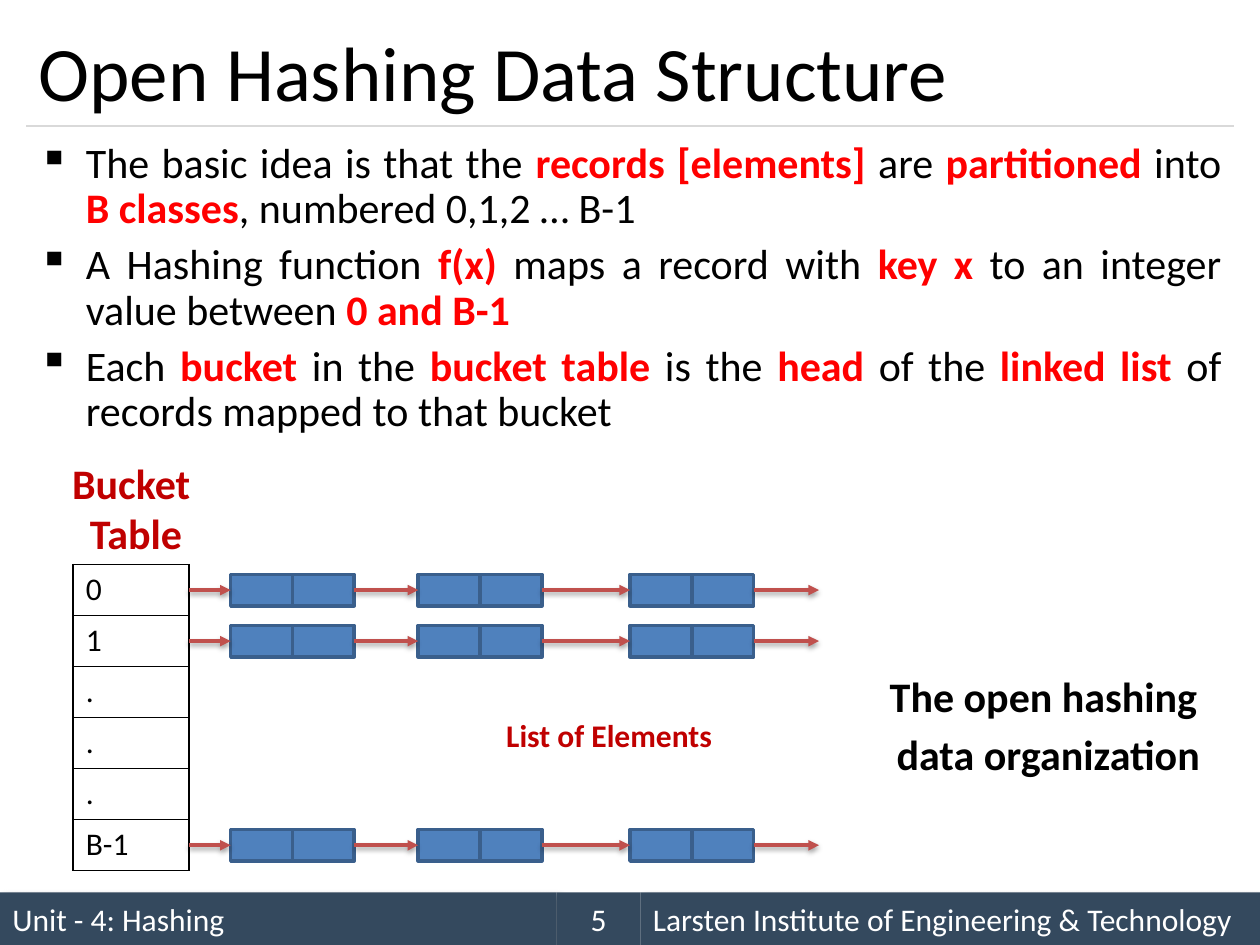
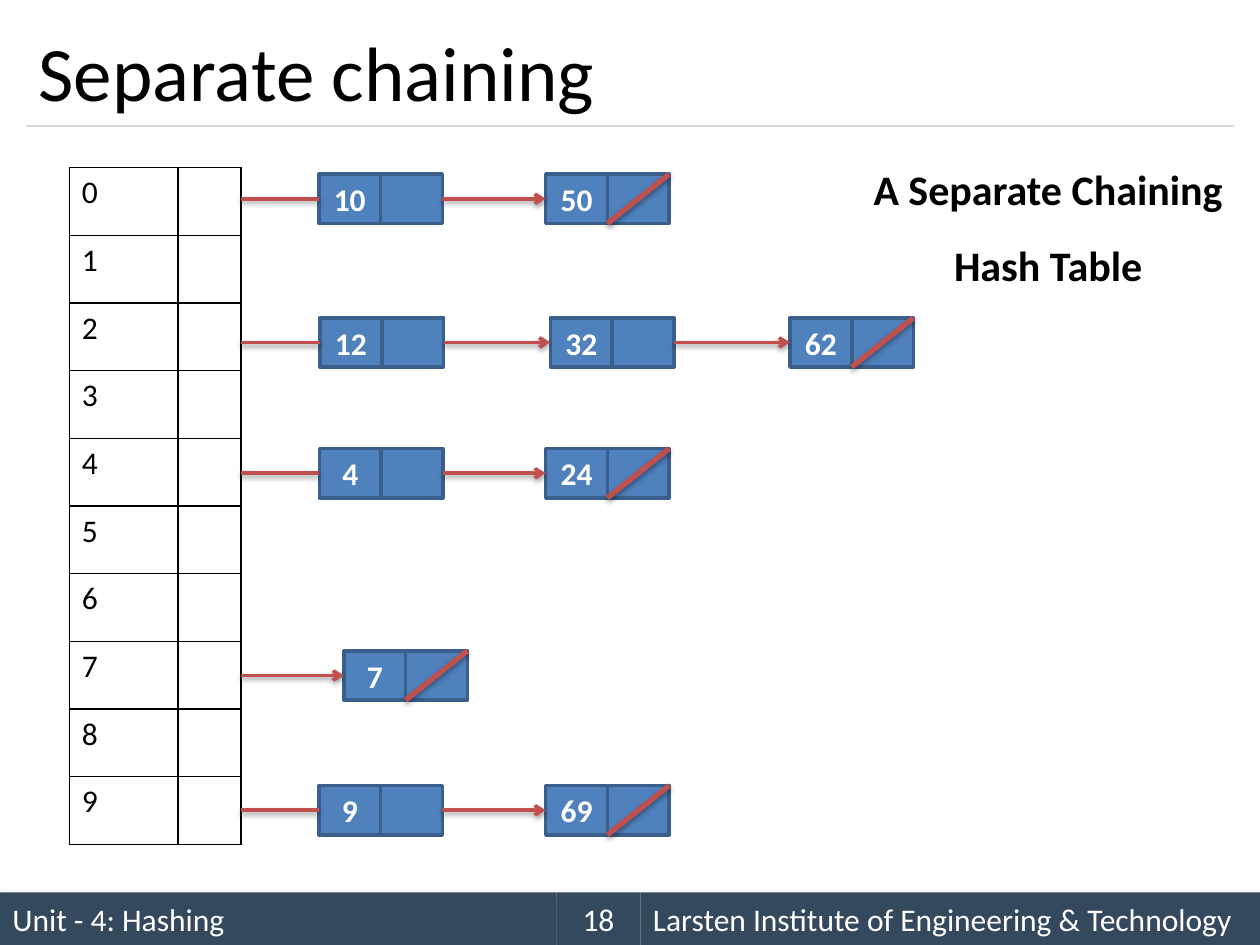
"""Build two slides on open hashing and separate chaining."""
from collections import namedtuple

from lxml.etree import SubElement as Sub
from pptx import Presentation
from pptx.dml.color import RGBColor
from pptx.enum.shapes import MSO_CONNECTOR as Wire, MSO_SHAPE as Form
from pptx.enum.text import MSO_ANCHOR as Anchor, PP_ALIGN as Align
from pptx.oxml.ns import qn
from pptx.util import Pt

BLACK = RGBColor(0, 0, 0)
WHITE = RGBColor(255, 255, 255)
RED = RGBColor(255, 0, 0)
WINE = RGBColor(0xC0, 0, 0)
BRICK = RGBColor(0xC0, 0x50, 0x4D)
BLUE = RGBColor(0x4F, 0x81, 0xBD)
EDGE = RGBColor(0x3A, 0x5F, 0x8C)
SLATE = RGBColor(0x34, 0x49, 0x5E)
GREY = RGBColor(0xD9, 0xD9, 0xD9)
FACE = "Calibri"
HALF = 35.3

Box = namedtuple("Box", "x y w h")
PAGE = Box(0, 0, 720, 540)

POINTS = [
    [("The basic idea is that the ", 0), ("records [elements] ", 1), ("are ", 0),
     ("partitioned ", 1), ("into ", 0), ("B classes", 1),
     (", numbered 0,1,2 … B-1", 0)],
    [("A Hashing function ", 0), ("f(x)", 1), (" maps a record with ", 0),
     ("key x", 1), (" to an integer value between", 0), (" 0 and B-1", 1)],
    [("Each ", 0), ("bucket ", 1), ("in the ", 0), ("bucket table", 1),
     (" is the ", 0), ("head", 1), (" of the ", 0), ("linked list ", 1),
     ("of records mapped to that bucket", 0)],
]
CHAINS = [
    (113.6, [(182.2, "10"), (311.8, "50")]),
    (195.7, [(182.9, "12"), (314.5, "32"), (451.4, "62")]),
    (270.4, [(182.5, "4"), (311.8, "24")]),
    (386, [(196.5, "7")]),
    (463, [(182.2, "9"), (311.8, "69")]),
]


def place(box):
    """Turn a box into lengths."""
    return [Pt(v) for v in box]


def style(para, size, color=BLACK, bold=False, align=Align.LEFT):
    """Set the font and alignment of a paragraph."""
    font = para.font
    font.name, font.size, font.bold = FACE, Pt(size), bold
    font.color.rgb = color
    para.alignment = align


def shade(shape, alpha, blur, dist, angle):
    """Give a shape or connector a soft black shadow."""
    props = shape._element.spPr
    fx = props.find(qn("a:effectLst"))
    if fx is None:
        fx = Sub(props, qn("a:effectLst"))
    drop = Sub(fx, qn("a:outerShdw"), blurRad=str(Pt(blur)), dist=str(Pt(dist)),
               dir=str(angle * 60000), algn="t", rotWithShape="0")
    tint = Sub(drop, qn("a:srgbClr"), val=str(BLACK))
    Sub(tint, qn("a:alpha"), val=str(alpha * 1000))


def label(slide, box, lines, size, color=BLACK, bold=True, align=Align.CENTER,
          lead=1, after=0):
    """Add an unwrapped text box with one paragraph a line."""
    frame = slide.shapes.add_textbox(*place(box)).text_frame
    frame.word_wrap = False
    frame.text = "\n".join(lines)
    for para in frame.paragraphs:
        style(para, size, color, bold, align)
        para.line_spacing, para.space_after = lead, Pt(after)
    return frame


def block(shapes, box, fill, text="", edge=None, bold=False, align=Align.CENTER):
    """Add a filled rectangle with middle text."""
    rect = shapes.add_shape(Form.RECTANGLE, *place(box))
    rect.shadow.inherit = False
    rect.fill.solid()
    rect.fill.fore_color.rgb = fill
    if edge is None:
        rect.line.fill.background()
    else:
        rect.line.color.rgb, rect.line.width = edge, Pt(2)
    if text:
        rect.text_frame.text = text
        rect.text_frame.vertical_anchor = Anchor.MIDDLE
        style(rect.text_frame.paragraphs[0], 18, WHITE, bold, align)
    return rect


def wire(slide, start, end, color=BRICK, width=2, tip=None):
    """Add a straight line, with an arrowhead if a tip is named."""
    line = slide.shapes.add_connector(
        Wire.STRAIGHT, *(Pt(v) for v in (*start, *end)))
    line.line.color.rgb, line.line.width = color, Pt(width)
    if tip:
        Sub(line.line._get_or_add_ln(), qn("a:tailEnd"), type=tip)
    if color == BRICK:
        shade(line, 38, 3.1, 1.6, 90)
    else:
        Sub(line._element.spPr, qn("a:effectLst"))
    return line


def frame(slide, box, title, number):
    """Add the title, its rule and the footer band."""
    head = label(slide, Box(box.x + 15, box.y + 8.6, box.w - 30, 63.4), [title], 44,
                 bold=False, align=Align.LEFT)
    head.word_wrap = True
    head.vertical_anchor = Anchor.MIDDLE
    rule = box.y + 72
    wire(slide, (box.x + 15, rule), (box.x + box.w - 15, rule), GREY, 0.75)
    bands = [(0, 318, "Unit - 4: Hashing", Align.LEFT),
             (366, 354, "Larsten Institute of Engineering & Technology", Align.LEFT),
             (318, 48, number, Align.CENTER)]
    for x, wide, text, align in bands:
        spot = Box(box.x + x, box.y + box.h - 30, wide, 30)
        band = block(slide.shapes, spot, SLATE, text, align=align)
        if align == Align.LEFT:
            shade(band, 40, 4, 3, 45)


def bullets(slide, box, points):
    """Add justified bullets with key words in bold red."""
    text = slide.shapes.add_textbox(*place(box)).text_frame
    text.word_wrap = True
    for i, parts in enumerate(points):
        para = text.add_paragraph() if i else text.paragraphs[0]
        style(para, 24, align=Align.JUSTIFY)
        para.line_spacing, para.space_before = 0.9, Pt(6)
        props = para._p.get_or_add_pPr()
        props.set("marL", str(Pt(27)))
        props.set("indent", str(Pt(-27)))
        mark = Sub(props, qn("a:buChar"), char="▪")
        props.find(qn("a:defRPr")).addprevious(mark)
        for words, key in parts:
            run = para.add_run()
            run.text = words
            if key:
                run.font.bold, run.font.color.rgb = True, RED


def rule_cell(cell):
    """Draw thin black borders round a clear cell."""
    props = cell._tc.get_or_add_tcPr()
    for side in "LRTB":
        line = Sub(props, qn(f"a:ln{side}"), w=str(Pt(1)))
        Sub(Sub(line, qn("a:solidFill")), qn("a:srgbClr"), val=str(BLACK))
    cell.fill.background()


def buckets(slide, box, names, widths):
    """Add a bucket table with names in its first column."""
    table = slide.shapes.add_table(len(names), len(widths), *place(box)).table
    table.first_row = table.horz_banding = False
    for col, wide in zip(table.columns, widths):
        col.width = Pt(wide)
    for row, name in zip(table.rows, names):
        row.height = Pt(box.h / len(names))
        row.cells[0].text = name
        for cell in row.cells:
            style(cell.text_frame.paragraphs[0], 18)
            rule_cell(cell)


def node(slide, box, text=""):
    """Add a grouped pair of cells and return both."""
    group = slide.shapes.add_group_shape().shapes
    return [block(group, box._replace(x=box.x + i * box.w), BLUE, words, EDGE, True)
            for i, words in enumerate((text, ""))]


def chain(slide, start, high, items, tip, first):
    """Link nodes in a row from a start point and return the last cell."""
    x, mid = start
    last = None
    for left, text in items:
        cell, tail = node(slide, Box(left, mid - high / 2, HALF, high), text)
        link = wire(slide, (x, mid), (left, mid), tip=tip if last else first)
        if last:
            link.begin_connect(last, 3)
        link.end_connect(cell, 1)
        last, x = tail, left + 2 * HALF
    return last


def open_hash(slide, box):
    """Draw the bucket table with its lists of elements."""
    names = ["0", "1", ".", ".", ".", "B-1"]
    grid = Box(box.x + 41.8, box.y + 64.8, 66.2, 175)
    buckets(slide, grid, names, [grid.w])
    label(slide, Box(box.x + 33.8, box.y, 87.8, 65.5), ["Bucket ", "Table"], 24, WINE)
    step = grid.h / len(names)
    for i, name in enumerate(names):
        if name == ".":
            continue
        mid = grid.y + (i + 0.5) * step
        items = [(box.x + x, "") for x in (131.8, 239, 360)]
        last = chain(slide, (grid.x + grid.w, mid), 18, items, "triangle", "triangle")
        out = wire(slide, (box.x + 430.6, mid), (box.x + 468, mid), tip="triangle")
        out.begin_connect(last, 3)
    label(slide, Box(box.x + 282.2, box.y + 147.6, 133.2, 28.8),
          ["List of Elements"], 18, WINE, align=Align.LEFT)
    label(slide, Box(box.x + 500.4, box.y + 117.4, 197.3, 72),
          ["The open hashing \vdata organization"], 24, lead=1.15, after=10)


def separate(slide, box):
    """Draw the hash table with its chains."""
    grid = Box(box.x + 39.6, box.y + 95.8, 98.2, 386.7)
    buckets(slide, grid, [str(i) for i in range(10)], [62.2, 36])
    for mid, items in CHAINS:
        mid += box.y
        spots = [(box.x + x, text) for x, text in items]
        first = "arrow" if len(items) == 1 else None
        chain(slide, (grid.x + grid.w, mid), 28.2, spots, "arrow", first)
        left = spots[-1][0] + HALF
        wire(slide, (left + HALF, mid - 14.1), (left, mid + 14.1), width=3)
    label(slide, Box(box.x + 491, box.y + 85.7, 216, 84.2),
          ["A Separate Chaining", "Hash Table"], 24, lead=1.15, after=10)


def main():
    """Build and save both slides."""
    deck = Presentation()
    deck.slide_width, deck.slide_height = Pt(PAGE.w), Pt(PAGE.h)
    blank = deck.slide_layouts[6]

    slide = deck.slides.add_slide(blank)
    frame(slide, PAGE, "Open Hashing Data Structure", "5")
    bullets(slide, Box(15, 77.8, 690, 180), POINTS)
    open_hash(slide, Box(0, 257.8, 720, 250))

    slide = deck.slides.add_slide(blank)
    frame(slide, PAGE, "Separate chaining", "18")
    separate(slide, PAGE)

    deck.save("out.pptx")


if __name__ == "__main__":
    main()
